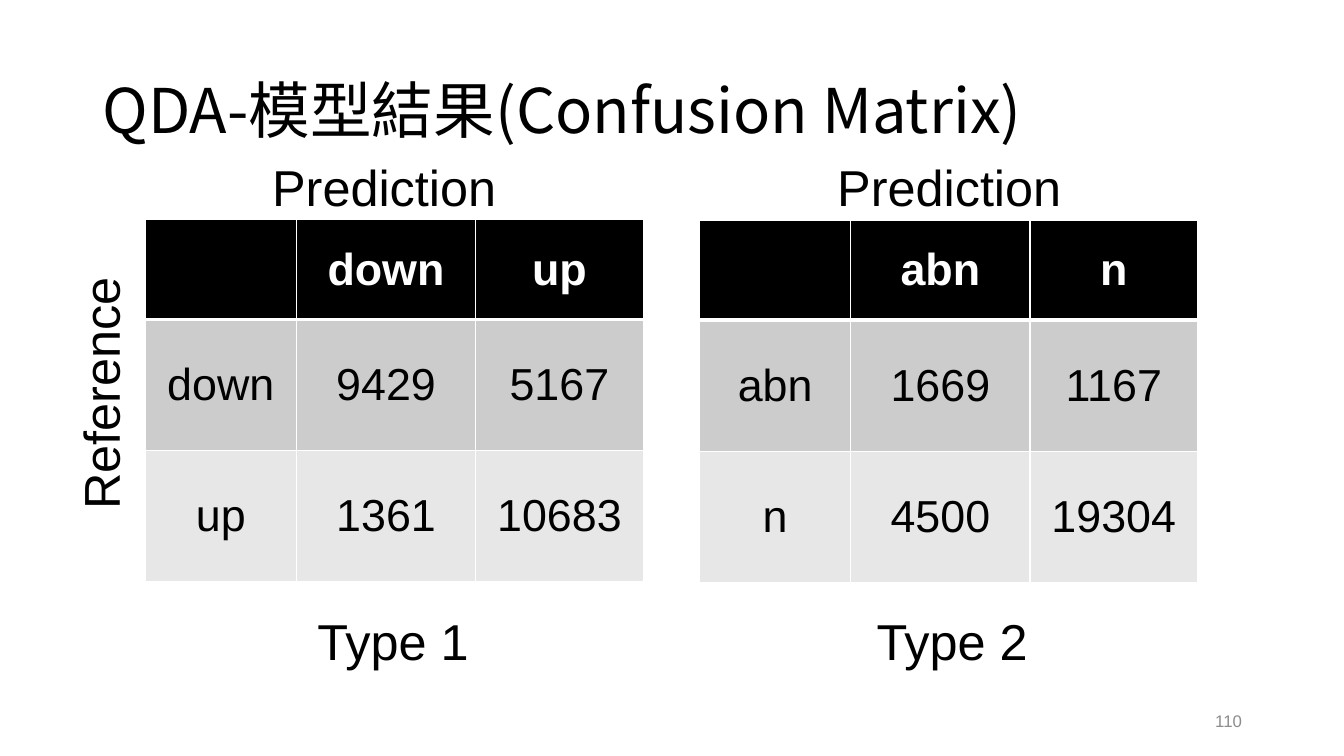
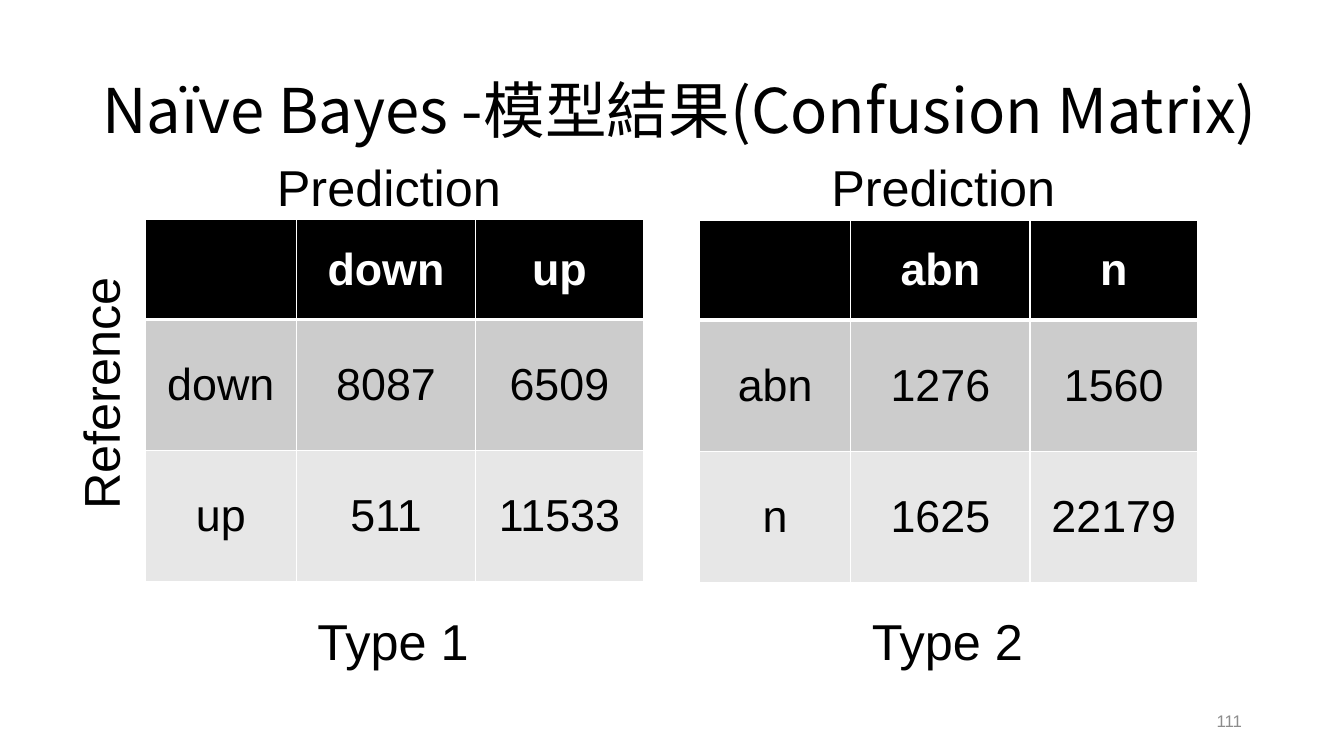
from lxml import etree
from pptx import Presentation
from pptx.dml.color import RGBColor
from pptx.enum.text import MSO_ANCHOR, PP_ALIGN
from pptx.oxml.ns import qn
from pptx.util import Cm, Pt

LEFT, CENTER, RIGHT = PP_ALIGN.LEFT, PP_ALIGN.CENTER, PP_ALIGN.RIGHT
TOP, MIDDLE = MSO_ANCHOR.TOP, MSO_ANCHOR.MIDDLE

COLORS = {
    "text": "000000",
    "header": "000000",
    "header_text": "FFFFFF",
    "band_dark": "CCCCCC",
    "band_light": "E7E7E7",
    "border": "FFFFFF",
    "page_number": "8C8C8C",
}
BODY_FONT = "Arial"
TITLE_FONT = "Noto Sans CJK SC"
LABEL_SIZE = 36

# Table grid, in cm
COLUMN_WIDTHS = (3.81, 4.52, 4.22)
ROW_HEIGHTS = (2.51, 3.3, 3.3)
ROW_FILLS = ("header", "band_dark", "band_light")
MATRIX_ORIGINS = ((3.66, 5.54), (17.63, 5.56))
TYPE_CLASSES = (("down", "up"), ("abn", "n"))

# Per slide: counts by type, and label offsets from the left of each matrix
SLIDES = (
    {
        "title": "QDA-模型結果(Confusion Matrix)",
        "title_width": 29.21,
        "page": "110",
        "counts": (((9429, 5167), (1361, 10683)),
                   ((1669, 1167), (4500, 19304))),
        "prediction_offsets": (2.95, 3.22),
        "type_offsets": (4.09, 4.21),
    },
    {
        "title": "Naïve Bayes -模型結果(Confusion Matrix)",
        "title_width": 30.48,
        "page": "111",
        "counts": (((8087, 6509), (511, 11533)),
                   ((1276, 1560), (1625, 22179))),
        "prediction_offsets": (3.07, 3.07),
        "type_offsets": (4.09, 4.09),
    },
)


def add_run(paragraph, text, size, color="text", font=BODY_FONT, bold=False):
    run = paragraph.add_run()
    run.text = text
    run.font.size = Pt(size)
    run.font.name = font
    run.font.bold = bold
    run.font.color.rgb = RGBColor.from_string(COLORS[color])
    east_asian = etree.SubElement(run.font._element, qn("a:ea"))
    east_asian.set("typeface", font)


def add_text(slide, box, text, size, color="text", font=BODY_FONT,
             align=LEFT, anchor=TOP, wrap=True, spacing=None, vertical=False):
    text_box = slide.shapes.add_textbox(*(Cm(length) for length in box))
    frame = text_box.text_frame
    frame.word_wrap = wrap
    frame.vertical_anchor = anchor
    if vertical:
        frame._txBody.find(qn("a:bodyPr")).set("vert", "vert270")
    paragraph = frame.paragraphs[0]
    paragraph.alignment = align
    paragraph.line_spacing = spacing
    add_run(paragraph, text, size, color, font)


def set_borders(cell, widths):
    """Draw the left, right, top and bottom borders, widths in points."""
    properties = cell._tc.get_or_add_tcPr()
    for index, (side, width) in enumerate(zip("LRTB", widths)):
        line = etree.Element(qn(f"a:ln{side}"), w=str(Pt(width)))
        fill = etree.SubElement(line, qn("a:solidFill"))
        etree.SubElement(fill, qn("a:srgbClr"), val=COLORS["border"])
        properties.insert(index, line)


def add_matrix(slide, left, top, classes, counts):
    """Confusion matrix with a header row and a class column."""
    rows = [("", *classes)]
    rows += [(name, *map(str, values)) for name, values in zip(classes, counts)]
    table = slide.shapes.add_table(
        len(rows), len(rows[0]), Cm(left), Cm(top),
        Cm(sum(COLUMN_WIDTHS)), Cm(sum(ROW_HEIGHTS))).table
    table.horz_banding = False
    for column, width in zip(table.columns, COLUMN_WIDTHS):
        column.width = Cm(width)
    for r, texts in enumerate(rows):
        table.rows[r].height = Cm(ROW_HEIGHTS[r])
        header = r == 0
        for c, text in enumerate(texts):
            cell = table.cell(r, c)
            cell.fill.solid()
            cell.fill.fore_color.rgb = RGBColor.from_string(COLORS[ROW_FILLS[r]])
            cell.vertical_anchor = MIDDLE
            set_borders(cell, (1, 1, 3 if r == 1 else 1, 3 if header else 1))
            paragraph = cell.text_frame.paragraphs[0]
            paragraph.alignment = CENTER
            if text:
                add_run(paragraph, text, 32,
                        "header_text" if header else "text", bold=header)


def add_panel(slide, number, origin, classes, counts,
              prediction_offset, type_offset):
    """One matrix with its axis label above and its type below."""
    left, top = origin
    add_matrix(slide, left, top, classes, counts)
    add_text(slide, (left + prediction_offset, 3.81, 6.22, 1.8),
             "Prediction", LABEL_SIZE, wrap=False)
    add_text(slide, (left + type_offset, 15.24, 4.42, 1.8),
             f"Type {number}", LABEL_SIZE)


def add_result_slide(presentation, content):
    slide = presentation.slides.add_slide(presentation.slide_layouts[6])

    # Title and page number
    add_text(slide, (2.33, 1.01, content["title_width"], 3.68),
             content["title"], 44, font=TITLE_FONT, anchor=MIDDLE, spacing=0.9)
    add_text(slide, (23.93, 17.65, 7.62, 1.01), content["page"], 12,
             "page_number", align=RIGHT, anchor=MIDDLE)

    # Matrices side by side
    panels = zip(MATRIX_ORIGINS, TYPE_CLASSES, content["counts"],
                 content["prediction_offsets"], content["type_offsets"])
    for number, panel in enumerate(panels, start=1):
        add_panel(slide, number, *panel)

    # Shared row axis
    add_text(slide, (1.63, 6.93, 2.06, 6.17), "Reference", LABEL_SIZE,
             wrap=False, vertical=True)


def main():
    presentation = Presentation()
    presentation.slide_width = Cm(33.87)
    presentation.slide_height = Cm(19.05)
    for content in SLIDES:
        add_result_slide(presentation, content)
    presentation.save("out.pptx")


if __name__ == "__main__":
    main()
